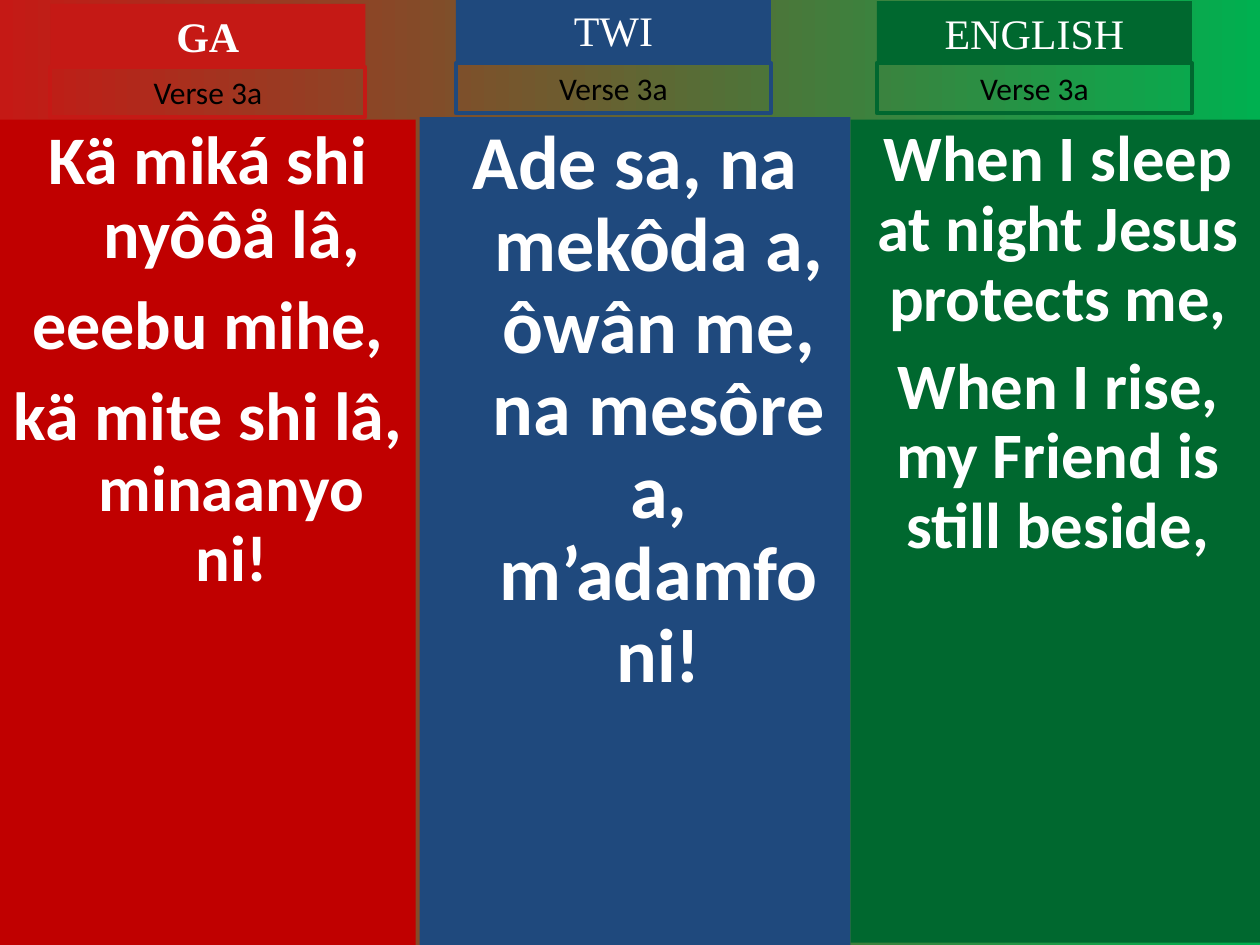
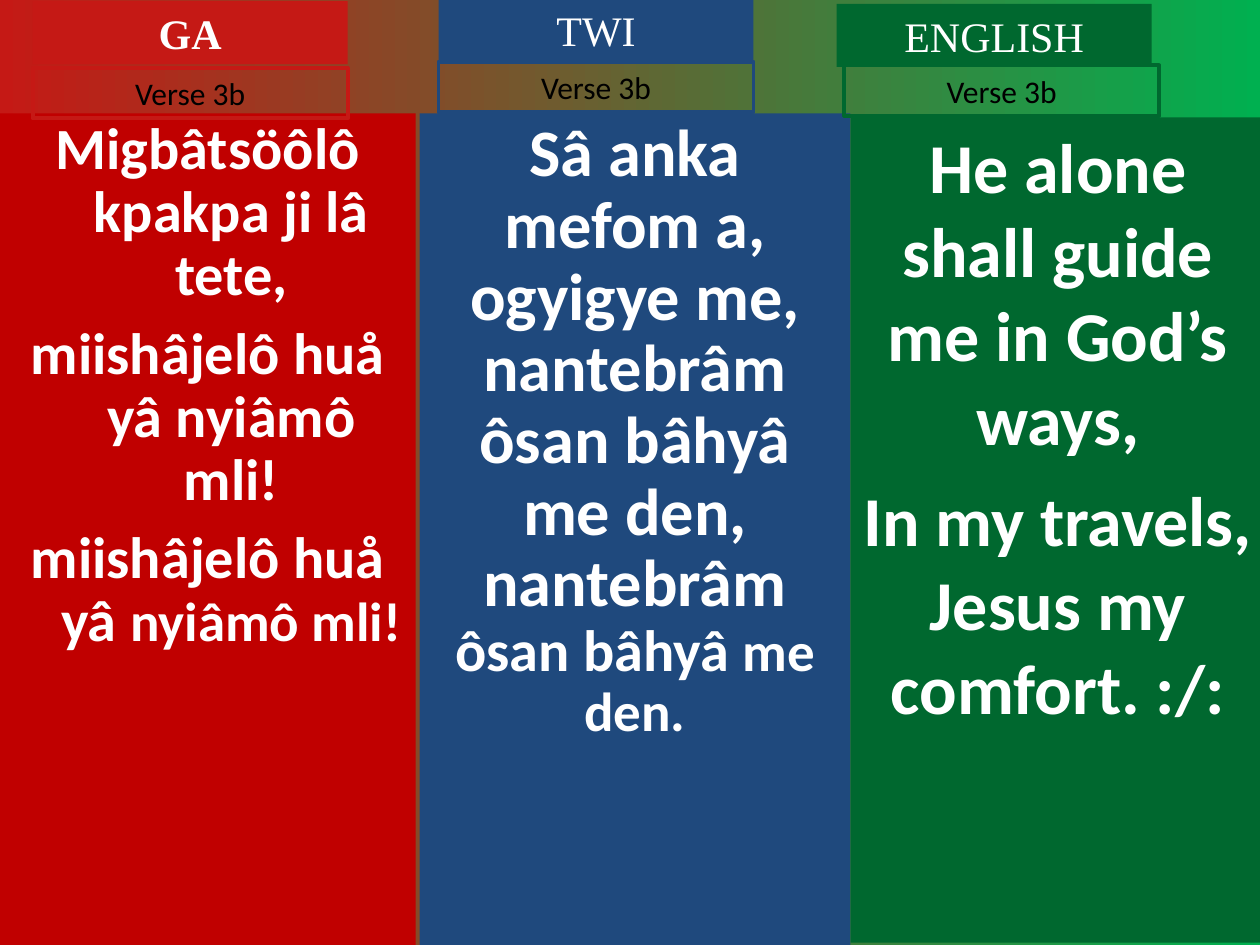
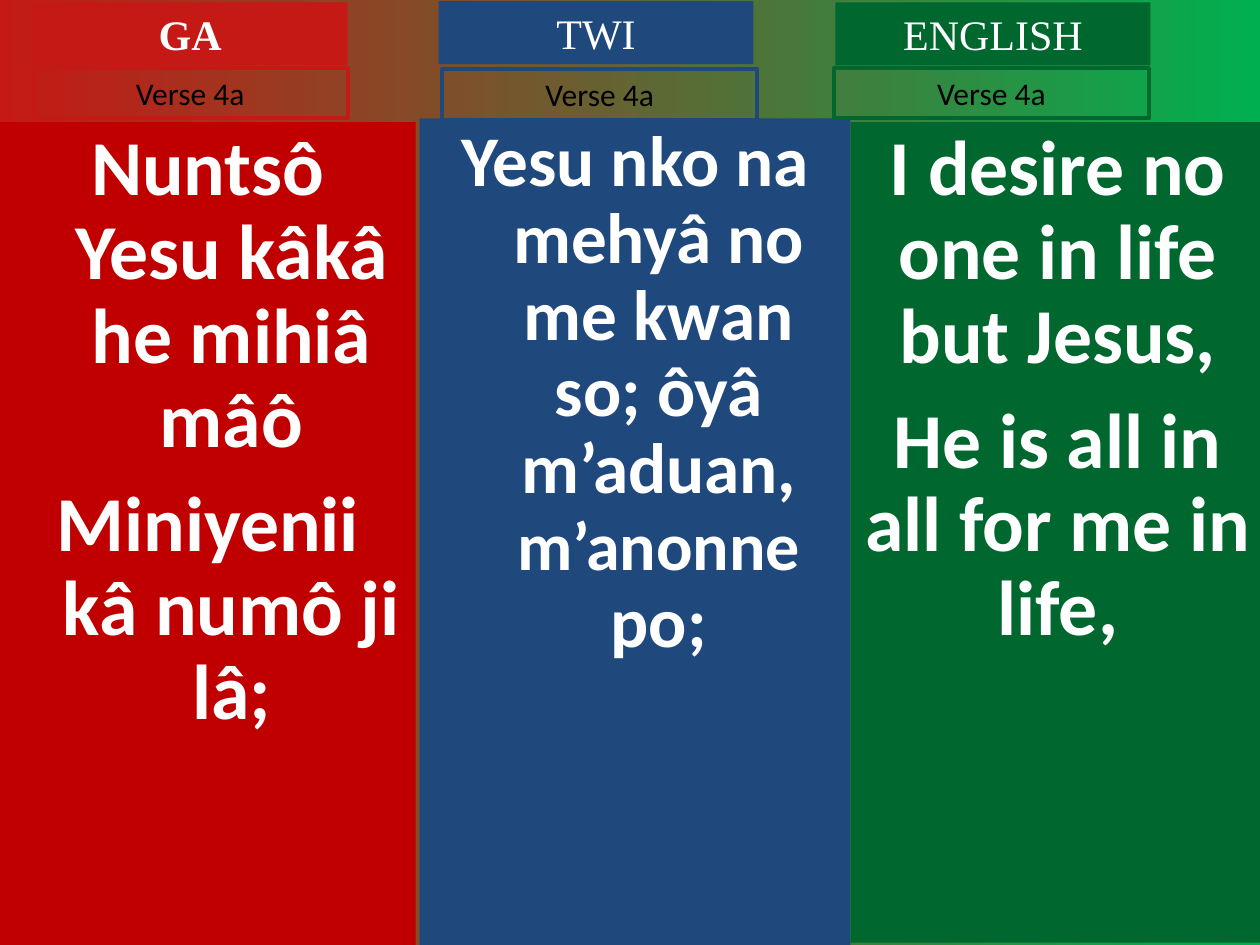
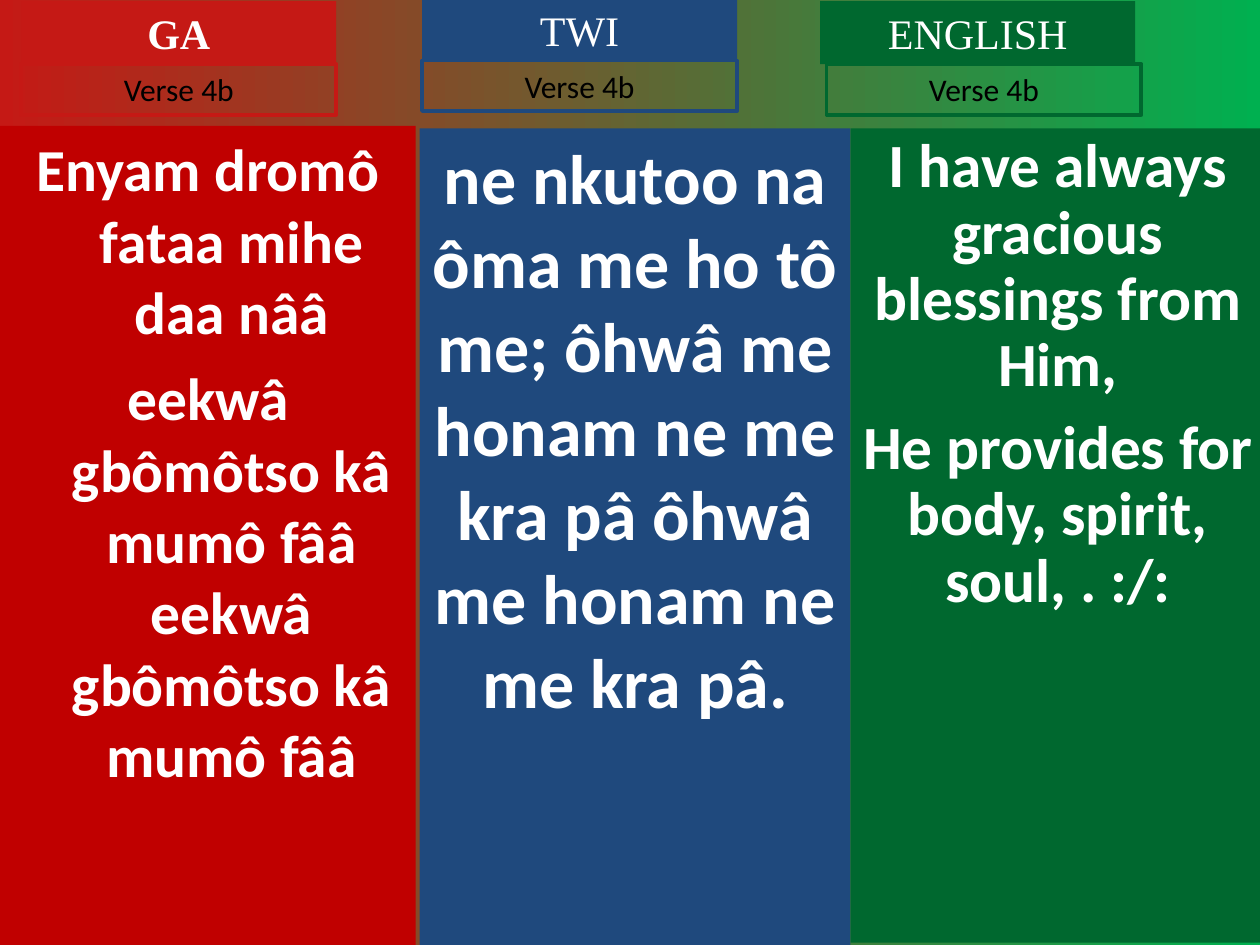
from dataclasses import dataclass
from typing import NamedTuple

from pptx import Presentation
from pptx.dml.color import RGBColor
from pptx.enum.shapes import MSO_SHAPE
from pptx.enum.text import MSO_ANCHOR, MSO_AUTO_SIZE, PP_ALIGN
from pptx.util import Pt

WHITE, BLACK = "FFFFFF", "000000"
RED, GREEN = "C51915", "00B050"
BODY_FONT, HEADING_FONT = "Calibri", "Times New Roman"
TAB_WIDTH, HEADING_HEIGHT, LABEL_HEIGHT = 180, 36, 28.8
HANGING = 27


class Run(NamedTuple):
    text: str
    size: float


class Para(NamedTuple):
    runs: list[Run]
    before: float = 0


class Point(NamedTuple):
    x: float
    y: float


@dataclass
class Column:
    name: str
    left: float
    width: float
    bottom: float
    fill: str
    accent: str
    bold: bool = False


@dataclass
class Panel:
    heading: Point
    label: Point
    top: float
    paras: list[Para]
    hanging: bool = False
    spacing: float = 0.9


@dataclass
class Verse:
    label: str
    panels: list[Panel]


COLUMNS = [
    Column("GA", 0, 237.6, 540, "C00000", RED, bold=True),
    Column("TWI", 239.8, 246.2, 540, "1F497D", "1F497D"),
    Column("ENGLISH", 486, 237, 538.7, "00682F", "00682F"),
]

VERSES = [
    Verse("Verse 3a", [
        Panel(Point(28.8, 2.2), Point(28.8, 38.2), 68.4, [
            Para([Run("Kä miká shi nyôôå lâ,", 38.9)]),
            Para([Run("eeebu mihe,", 38.9)], 10.5),
            Para([Run("kä mite shi lâ, ", 38.9), Run("minaanyo ni!", 37)], 10),
        ], hanging=True),
        Panel(Point(260.6, -0.7), Point(260.6, 36), 67, [
            Para([Run("Ade sa, na mekôda a, ôwân me, na mesôre a, m’adamfo ni!", 43.5)]),
        ], hanging=True),
        Panel(Point(501.1, 0.7), Point(501.1, 36), 68.4, [
            Para([Run("When I sleep at night Jesus protects me,", 37)]),
            Para([Run("When I rise, my Friend is still beside,", 37)], 10),
        ]),
    ]),
    Verse("Verse 3b", [
        Panel(Point(18.7, 0.7), Point(18.7, 38.9), 64.8, [
            Para([Run("Migbâtsöôlô kpakpa ji lâ tete,", 33.3)]),
            Para([Run("miishâjelô huå yâ nyiâmô mli!", 33.3)], 9),
            Para([Run("miishâjelô huå yâ ", 33.3), Run("nyiâmô mli!", 31.4)], 8.5),
        ], hanging=True),
        Panel(Point(250.6, -0.7), Point(250.6, 35.3), 64.8, [
            Para([
                Run("Sâ anka mefom a, ogyigye me, nantebrâm ôsan bâhyâ "
                    "me den, nantebrâm ", 37.9),
                Run("ôsan bâhyâ ", 33.3),
                Run("me den.", 31.4),
            ]),
        ]),
        Panel(Point(478.1, 2.2), Point(482.4, 37.4), 67, [
            Para([Run("He alone shall guide me in God’s ways,", 40)]),
            Para([Run("In my travels, Jesus my comfort. :/:", 40)], 10),
        ], spacing=1),
    ]),
    Verse("Verse 4a", [
        Panel(Point(18.7, 1.4), Point(18.7, 38.9), 69.8, [
            Para([Run("Nuntsô Yesu kâkâ he mihiâ mâô", 44.4)]),
            Para([Run("Miniyenii kâ numô ji lâ;", 44.4)], 12),
        ], hanging=True),
        Panel(Point(250.6, 0.7), Point(252.7, 39.6), 67.7, [
            Para([
                Run("Yesu nko na mehyâ no me kwan so; ôyâ m’aduan, ", 40.7),
                Run("m’anonne", 38.9),
                Run(" po;", 40.7),
            ]),
        ], hanging=True),
        Panel(Point(477.4, 1.4), Point(476.6, 38.9), 69.8, [
            Para([Run("I desire no one in life but Jesus,", 44.4)]),
            Para([Run("He is all in all for me in life,", 44.4)], 12),
        ]),
    ]),
    Verse("Verse 4b", [
        Panel(Point(12.2, 0.7), Point(12.2, 36.7), 72, [
            Para([Run("Enyam dromô fataa mihe daa nââ", 34)]),
            Para([Run("eekwâ gbômôtso kâ mumô fââ eekwâ gbômôtso kâ mumô fââ", 34)], 8.5),
        ], hanging=True, spacing=1),
        Panel(Point(241.2, -0.7), Point(241.2, 34.6), 73.4, [
            Para([Run("ne nkutoo na ôma me ho tô me; ôhwâ me honam ne me kra pâ "
                      "ôhwâ me honam ne me kra pâ.", 40)]),
        ], spacing=1),
        Panel(Point(468.7, 0.7), Point(472.3, 36.7), 73.4, [
            Para([Run("I have always gracious blessings from Him,", 35.1)]),
            Para([Run("He provides for body, spirit, soul, . :/:", 35.1)], 9.5),
        ]),
    ]),
]


def rgb(value: str) -> RGBColor:
    return RGBColor.from_string(value)


def add_box(slide, left: float, top: float, width: float, height: float,
            fill: str | None = None, line: str | None = None):
    sp = slide.shapes.add_shape(
        MSO_SHAPE.RECTANGLE, Pt(left), Pt(top), Pt(width), Pt(height))
    sp.shadow.inherit = False
    if fill:
        sp.fill.solid()
        sp.fill.fore_color.rgb = rgb(fill)
    else:
        sp.fill.background()
    if line:
        sp.line.color.rgb = rgb(line)
        sp.line.width = Pt(2.25)
    else:
        sp.line.fill.background()
    tf = sp.text_frame
    tf.word_wrap = True
    tf.vertical_anchor = MSO_ANCHOR.TOP
    return tf


def format_paragraph(p, font: str, color: str, bold: bool) -> None:
    p.alignment = PP_ALIGN.CENTER
    p.font.name = font
    p.font.bold = bold
    p.font.color.rgb = rgb(color)


def add_tab(slide, at: Point, height: float, text: str, size: float, font: str,
            color: str, bold: bool = False, fill: str | None = None,
            line: str | None = None) -> None:
    tf = add_box(slide, at.x, at.y, TAB_WIDTH, height, fill, line)
    tf.auto_size = MSO_AUTO_SIZE.SHAPE_TO_FIT_TEXT
    p = tf.paragraphs[0]
    p.add_run().text = text
    format_paragraph(p, font, color, bold)
    p.font.size = Pt(size)


def add_lyrics(slide, column: Column, panel: Panel) -> None:
    tf = add_box(slide, column.left, panel.top, column.width,
                 column.bottom - panel.top, column.fill)
    for i, para in enumerate(panel.paras):
        p = tf.add_paragraph() if i else tf.paragraphs[0]
        p.line_spacing = panel.spacing
        p.space_before = Pt(para.before)
        if panel.hanging:
            pPr = p._p.get_or_add_pPr()
            pPr.set("marL", str(Pt(HANGING)))
            pPr.set("indent", str(-Pt(HANGING)))
        format_paragraph(p, BODY_FONT, WHITE, True)
        same_size = len({run.size for run in para.runs}) == 1
        if same_size:
            p.font.size = Pt(para.runs[0].size)
        for run in para.runs:
            r = p.add_run()
            r.text = run.text
            if not same_size:
                r.font.size = Pt(run.size)


def add_panel(slide, column: Column, panel: Panel, label: str) -> None:
    add_lyrics(slide, column, panel)
    add_tab(slide, panel.heading, HEADING_HEIGHT, column.name, 24, HEADING_FONT,
            WHITE, bold=column.bold, fill=column.accent)
    add_tab(slide, panel.label, LABEL_HEIGHT, label, 18, BODY_FONT,
            BLACK, line=column.accent)


def set_background(master) -> None:
    fill = master.background.fill
    fill.gradient()
    fill.gradient_angle = 0
    for stop, color in zip(fill.gradient_stops, (RED, GREEN)):
        stop.color.rgb = rgb(color)


def main() -> None:
    prs = Presentation()
    prs.slide_width, prs.slide_height = Pt(720), Pt(540)
    set_background(prs.slide_master)
    for verse in VERSES:
        slide = prs.slides.add_slide(prs.slide_layouts[6])
        for column, panel in zip(COLUMNS, verse.panels):
            add_panel(slide, column, panel, verse.label)
    prs.save("out.pptx")


if __name__ == "__main__":
    main()
